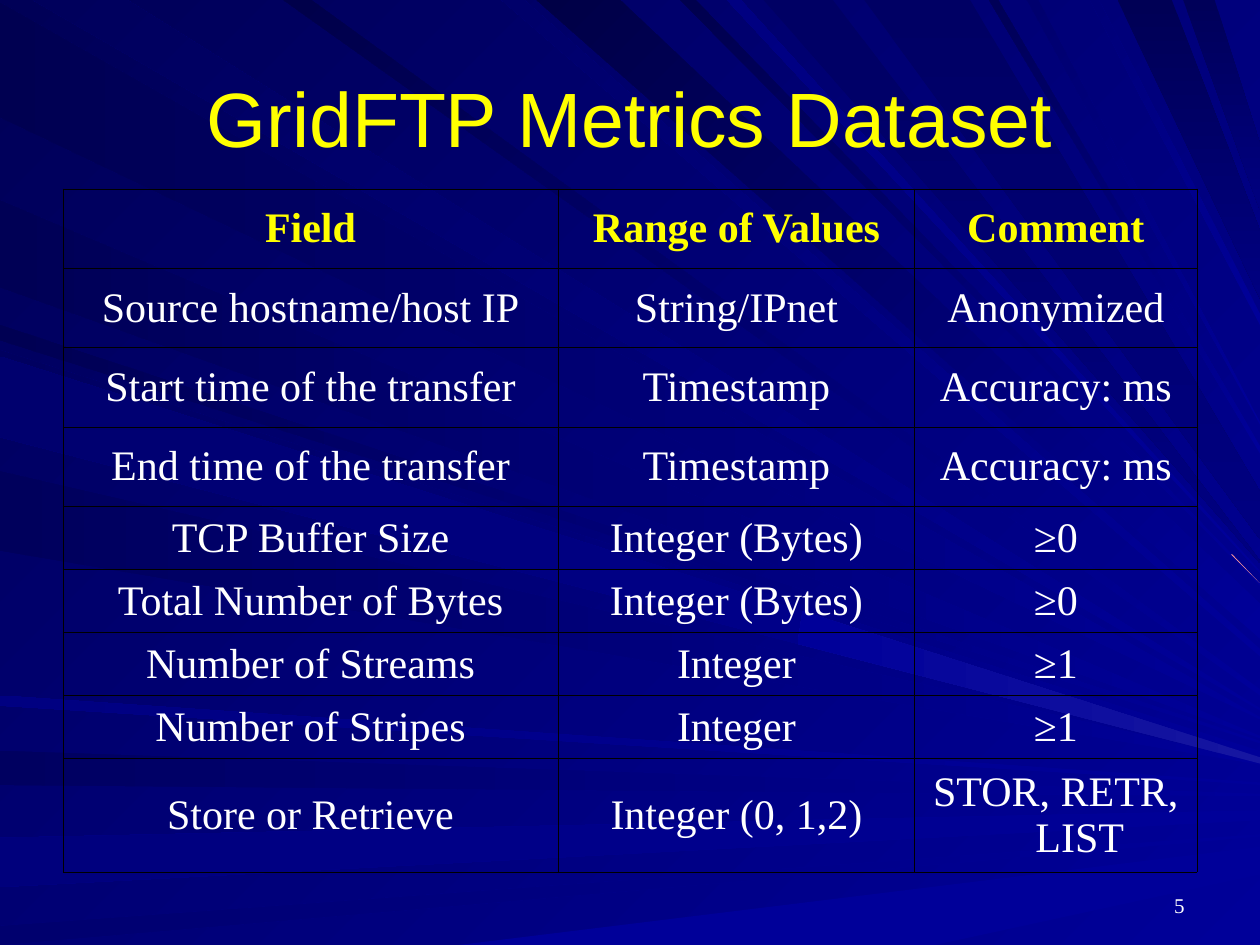
from dataclasses import dataclass

import pptx
import pptx.dml.color
import pptx.enum.text
import pptx.oxml
import pptx.oxml.ns
import pptx.util

Inches = pptx.util.Inches
Pt = pptx.util.Pt
ALIGN = pptx.enum.text.PP_ALIGN
ANCHOR = pptx.enum.text.MSO_ANCHOR
WIDTH, HEIGHT = 10, 7.5


@dataclass(frozen=True)
class Theme:
    accent: str = "FFFF00"
    text: str = "FFFFFF"
    border: str = "000000"
    light: str = "000099"
    medium: str = "000080"
    dark: str = "000057"
    glow: str = "1616A1"
    spark: str = "FF9999"
    head_font: str = "Arial"
    body_font: str = "Times New Roman"
    title_size: int = 44
    body_size: int = 24
    number_size: int = 12
    border_width: float = 0.45


THEME = Theme()


@dataclass(frozen=True)
class Ray:
    """A beam from the top or left edge to the right edge."""
    start: float
    width: float
    end: float
    dark: str
    spread: float = 0.02


LEFT_RAYS = [
    Ray(0.02, 0.91, 5.69, "000051"),
    Ray(5.96, 0.27, 6.3, "000060"),
    Ray(6.65, 0.39, 6.43, "00007C", 0.08),
    Ray(7.35, 0.15, 6.62, "00006E"),
    Ray(2.58, 0.12, 5.88, "000053"),
    Ray(1.59, 0.69, 5.84, "000055"),
    Ray(2.78, 0.64, 5.96, "000060", 0.06),
    Ray(3.74, 0.63, 6.05, "00005C"),
    Ray(5.52, 0.08, 6.21, "000081"),
    Ray(2.83, 0.64, 6.01, "00006E", 0.05),
]
TOP_RAYS = [
    Ray(0.26, 0.75, 5.62, "00005C"),
    Ray(3.98, 0.18, 5.15, "00006A", 0.06),
    Ray(4.26, 0.66, 4.79, "000046", 0.28),
    Ray(5.4, 0.12, 4.63, "00004E"),
    Ray(2.25, 0.22, 5.47, "00004A", 0.05),
    Ray(5.77, 0.11, 4.53, "000081"),
    Ray(7.85, 0.07, 3.54, "000057", 0.06),
    Ray(8.15, 0.09, 3.35, "00006E"),
    Ray(8.65, 0.07, 2.49, "000078", 0.09),
]
FADING_RAYS = [
    Ray(6.06, 0.55, 4.45, "000064"),
    Ray(6.86, 0.84, 3.9, "000064", 0.38),
    Ray(8.87, 0.43, 1.83, "000055", 0.54),
    Ray(9.39, 0.25, 1.14, "000059", 0.53),
]

COLUMNS = [3.93, 2.83, 2.24]
ROW_HEIGHTS = [0.63] * 4 + [0.5] * 4 + [0.9]
METRICS = [
    ("Field", "Range of Values", "Comment"),
    ("Source hostname/host IP", "String/IPnet", "Anonymized"),
    ("Start time of the transfer", "Timestamp", "Accuracy: ms"),
    ("End time of the transfer", "Timestamp", "Accuracy: ms"),
    ("TCP Buffer Size", "Integer (Bytes)", "≥0"),
    ("Total Number of Bytes", "Integer (Bytes)", "≥0"),
    ("Number of Streams", "Integer", "≥1"),
    ("Number of Stripes", "Integer", "≥1"),
    ("Store or Retrieve", "Integer (0, 1,2)", "STOR, RETR, LIST"),
]


def rgb(value):
    return pptx.dml.color.RGBColor.from_string(value)


def fill_gradient(fill, first, last, angle):
    """Fill with two colours; the angle runs clockwise."""
    fill.gradient()
    fill.gradient_angle = 360 - angle
    for stop, color in zip(fill.gradient_stops, (first, last)):
        stop.color.rgb = rgb(color)


def add_run(p, text, size, font, color, bold=False):
    r = p.add_run()
    r.text = text
    r.font.size = Pt(size)
    r.font.name = font
    r.font.bold = bold
    r.font.color.rgb = rgb(color)


def add_polygon(s, points, first, last, angle):
    corners = [(Inches(x), Inches(y)) for x, y in points]
    builder = s.shapes.build_freeform(*corners[0])
    builder.add_line_segments(corners[1:], close=True)
    sp = builder.convert_to_shape()
    sp.shadow.inherit = False
    sp.line.fill.background()
    fill_gradient(sp.fill, first, last, angle)


def add_ray(s, box, ray, from_top, first, last, angle):
    left, top, width, _ = box
    near = (ray.start, ray.start + ray.width)
    if from_top:
        begin = [(left + x, top) for x in near]
        far = (ray.end, ray.end + ray.spread)
    else:
        begin = [(left, top + y) for y in near]
        far = (ray.end + ray.spread, ray.end)
    add_polygon(s, begin + [(left + width, top + y) for y in far], first, last, angle)


def add_backdrop(s, box):
    left, top, width, height = box
    right, bottom = left + width, top + height
    fill_gradient(s.background.fill, THEME.light, THEME.dark, 225)
    add_polygon(s, [(left + 3.64, bottom), (left + 7.42, bottom),
                    (right, bottom - 0.56), (right, bottom - 0.78)],
                THEME.light, THEME.light, 180)
    for ray in LEFT_RAYS:
        add_ray(s, box, ray, False, THEME.light, ray.dark, 180)
    for ray in TOP_RAYS:
        add_ray(s, box, ray, True, THEME.light, ray.dark, 225)
    for ray in FADING_RAYS:
        add_ray(s, box, ray, True, ray.dark, THEME.medium, 90)
    add_polygon(s, [(left + 6.37, top + 4.85), (left + 6.33, top + 5.11),
                    (right, top + 6.06), (right, top + 6.01)],
                THEME.glow, THEME.light, 180)
    add_polygon(s, [(right - 0.23, top + 4.4), (right - 0.22, top + 4.4),
                    (right, top + 4.63)], THEME.spark, THEME.spark, 180)


def add_label(s, box, text, size, font, color, align, anchor):
    tf = s.shapes.add_textbox(*map(Inches, box)).text_frame
    tf.word_wrap = True
    tf.vertical_anchor = anchor
    p = tf.paragraphs[0]
    p.alignment = align
    add_run(p, text, size, font, color)


def set_borders(cell):
    tc_pr = cell._tc.get_or_add_tcPr()
    for i, side in enumerate(("lnL", "lnR", "lnT", "lnB")):
        tc_pr.insert(i, pptx.oxml.parse_xml(
            f'<a:{side} {pptx.oxml.ns.nsdecls("a")} w="{Pt(THEME.border_width)}">'
            f'<a:solidFill><a:srgbClr val="{THEME.border}"/></a:solidFill></a:{side}>'))


def add_metrics_table(s, box):
    table = s.shapes.add_table(len(METRICS), len(COLUMNS), *map(Inches, box)).table
    table.first_row = table.horz_banding = False
    for column, width in zip(table.columns, COLUMNS):
        column.width = Inches(width)
    for row, height, texts in zip(table.rows, ROW_HEIGHTS, METRICS):
        row.height = Inches(height)
        header = texts is METRICS[0]
        for cell, text in zip(row.cells, texts):
            cell.fill.background()
            cell.vertical_anchor = ANCHOR.MIDDLE
            set_borders(cell)
            p = cell.text_frame.paragraphs[0]
            p.alignment = ALIGN.CENTER
            p_pr = p._p.get_or_add_pPr()
            p_pr.set("marL", str(Inches(0.38)))
            p_pr.set("indent", str(-Inches(0.38)))
            add_run(p, text, THEME.body_size, THEME.body_font,
                    THEME.accent if header else THEME.text, header)


def main():
    prs = pptx.Presentation()
    prs.slide_width, prs.slide_height = Inches(WIDTH), Inches(HEIGHT)
    s = prs.slides.add_slide(prs.slide_layouts[6])
    add_backdrop(s, (0, 0, WIDTH, HEIGHT))
    add_label(s, (0.5, 0.3, 9, 1.25), "GridFTP Metrics Dataset", THEME.title_size,
              THEME.head_font, THEME.accent, ALIGN.CENTER, ANCHOR.MIDDLE)
    add_metrics_table(s, (0.5, 1.5, sum(COLUMNS), sum(ROW_HEIGHTS)))
    add_label(s, (7.17, 6.83, 2.33, 0.5), "5", THEME.number_size,
              THEME.body_font, THEME.text, ALIGN.RIGHT, ANCHOR.BOTTOM)
    prs.save("out.pptx")


if __name__ == "__main__":
    main()
